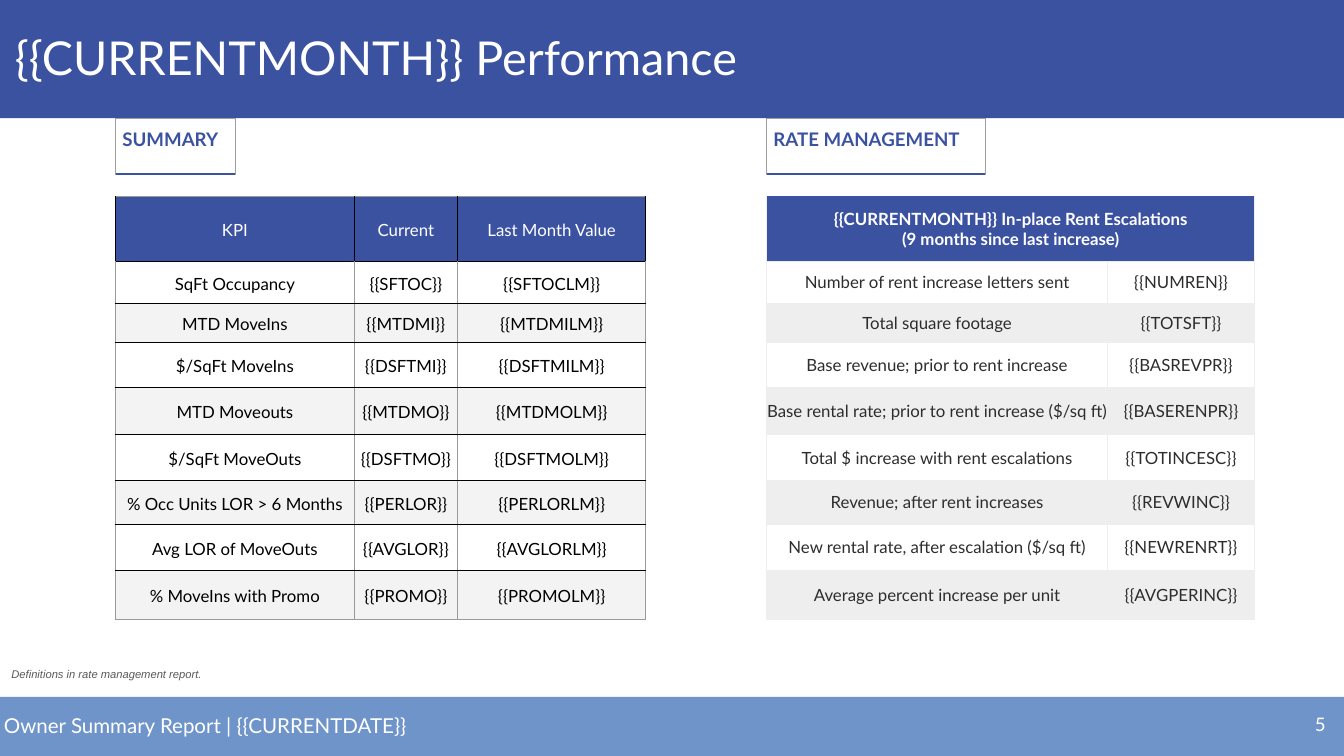
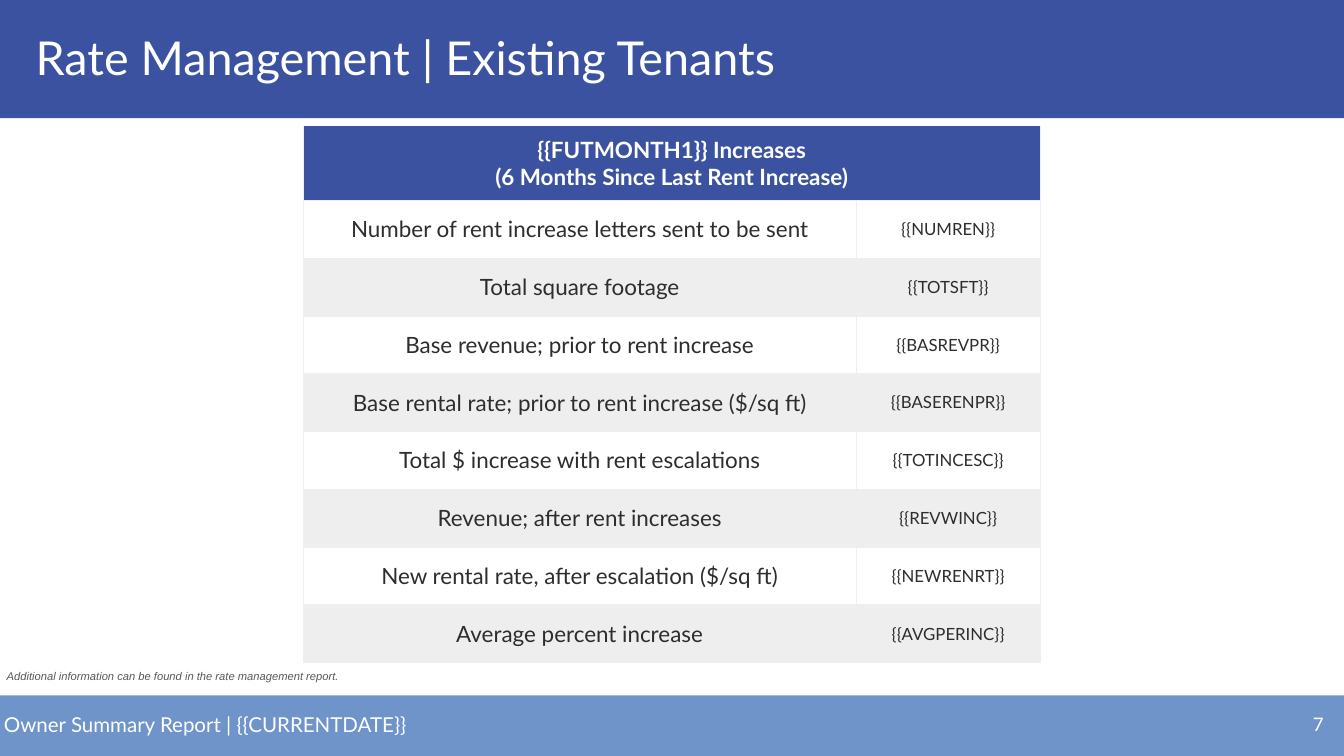
"""Build the monthly performance and rate management slides of the owner report."""
from dataclasses import dataclass, replace

from lxml import etree
from pptx import Presentation
from pptx.dml.color import RGBColor
from pptx.enum.shapes import MSO_SHAPE
from pptx.enum.text import MSO_ANCHOR, MSO_AUTO_SIZE, PP_ALIGN
from pptx.oxml.ns import qn
from pptx.slide import Slide
from pptx.text.text import TextFrame
from pptx.util import Emu, Pt

LEFT, CENTER, RIGHT = PP_ALIGN.LEFT, PP_ALIGN.CENTER, PP_ALIGN.RIGHT
TOP, MIDDLE = MSO_ANCHOR.TOP, MSO_ANCHOR.MIDDLE
RECT, FIXED = MSO_SHAPE.RECTANGLE, MSO_AUTO_SIZE.NONE

NAVY = RGBColor(0x3B, 0x52, 0xA1)
SKY = RGBColor(0x6F, 0x94, 0xCA)
WHITE = RGBColor(0xFF, 0xFF, 0xFF)
BLACK = RGBColor(0x00, 0x00, 0x00)
COAL = RGBColor(0x2D, 0x2D, 0x2D)
SLATE = RGBColor(0x59, 0x59, 0x59)
STEEL = RGBColor(0x9A, 0x9A, 0x9A)
ASH = RGBColor(0x9E, 0x9E, 0x9E)
MIST = RGBColor(0xEE, 0xEE, 0xEE)
FOG = RGBColor(0xF3, 0xF3, 0xF3)

SCALE = 9144
WIDE, HIGH = 2000, 1125
BAND = 176
FOOT = 90


@dataclass(frozen=True)
class Type:
    size: int
    ink: RGBColor
    bold: bool = False
    slant: bool = False
    face: str = "Lato"
    align: PP_ALIGN = LEFT
    ratio: float = 1.2


@dataclass(frozen=True)
class Look:
    fill: RGBColor
    ink: RGBColor
    left: RGBColor
    right: RGBColor
    top: RGBColor
    base: RGBColor
    bold: bool = False
    heavy: float = 0.75


@dataclass(frozen=True)
class Grid:
    left: int
    top: int
    cols: list[int]
    rows: list[int]
    cells: list[list[str]]
    looks: list[Look]
    sizes: list[int]
    pad: int
    ratio: float = 1.2
    align: PP_ALIGN = CENTER
    anchor: MSO_ANCHOR = MIDDLE


@dataclass(frozen=True)
class Page:
    title: str
    indent: int
    number: str
    foot: int
    edge: int
    note: str
    spot: tuple[int, int, int]
    grids: list[Grid]


HEAD = Look(NAVY, WHITE, BLACK, BLACK, STEEL, BLACK)
ODD = Look(WHITE, BLACK, STEEL, STEEL, BLACK, BLACK)
EVEN = replace(ODD, fill=FOG)
LAST = replace(EVEN, base=STEEL)
PLAIN = Look(WHITE, COAL, MIST, MIST, MIST, MIST)
SHADE = replace(PLAIN, fill=MIST)
CROWN = replace(PLAIN, fill=NAVY, ink=WHITE, top=NAVY, bold=True)
TAG = Look(WHITE, NAVY, ASH, ASH, ASH, NAVY, True, 1.5)
KPI_LOOKS = [HEAD] + [ODD, EVEN] * 3 + [ODD, LAST]
RATE_LOOKS = [CROWN] + [PLAIN, SHADE] * 4

KPI_ROWS = [97, 62, 59, 66, 71, 68, 65, 69, 73]
KPIS = [
    ["KPI", "Current", "Last Month Value"],
    ["SqFt Occupancy", "{{SFTOC}}", "{{SFTOCLM}}"],
    ["MTD MoveIns", "{{MTDMI}}", "{{MTDMILM}}"],
    ["$/SqFt MoveIns", "{{DSFTMI}}", "{{DSFTMILM}}"],
    ["MTD Moveouts", "{{MTDMO}}", "{{MTDMOLM}}"],
    ["$/SqFt MoveOuts", "{{DSFTMO}}", "{{DSFTMOLM}}"],
    ["% Occ Units LOR > 6 Months", "{{PERLOR}}", "{{PERLORLM}}"],
    ["Avg LOR of MoveOuts", "{{AVGLOR}}", "{{AVGLORLM}}"],
    ["% MoveIns with Promo", "{{PROMO}}", "{{PROMOLM}}"],
]


def rates(head: str, first: str, last: str) -> list[list[str]]:
    return [
        [head],
        [first, "{{NUMREN}}"],
        ["Total square footage", "{{TOTSFT}}"],
        ["Base revenue; prior to rent increase", "{{BASREVPR}}"],
        ["Base rental rate; prior to rent increase ($/sq ft)", "{{BASERENPR}}"],
        ["Total $ increase with rent escalations", "{{TOTINCESC}}"],
        ["Revenue; after rent increases", "{{REVWINC}}"],
        ["New rental rate, after escalation ($/sq ft)", "{{NEWRENRT}}"],
        [last, "{{AVGPERINC}}"],
    ]


def tag(text: str, left: int, width: int) -> Grid:
    return Grid(left, BAND, [width], [83], [[text]], [TAG], [20], 10,
                1.38, LEFT, TOP)


PAGES = [
    Page(
        "{{CURRENTMONTH}} Performance", 22, "5", 1037, 1973,
        "Definitions in rate management report.", (17, 993, 636),
        [
            Grid(1141, 292, [507, 219], KPI_ROWS,
                 rates("{{CURRENTMONTH}} In-place Rent Escalations\n"
                       "(9 months since last increase)",
                       "Number of rent increase letters sent",
                       "Average percent increase per unit"),
                 RATE_LOOKS, [18, 18], 0),
            tag("SUMMARY", 172, 178),
            tag("RATE MANAGEMENT", 1141, 325),
            Grid(172, 292, [355, 154, 280], KPI_ROWS, KPIS,
                 KPI_LOOKS, [18, 18, 18], 3, 1.38),
        ],
    ),
    Page(
        "Rate Management | Existing Tenants", 53, "7", 1035, 1970,
        "Additional information can be found in the rate management report.",
        (10, 996, 1095),
        [
            Grid(451, 188, [823, 274], [110] + [86] * 8,
                 rates("{{FUTMONTH1}} Increases\n"
                       "(6 Months Since Last Rent Increase)",
                       "Number of rent increase letters sent to be sent",
                       "Average percent increase"),
                 RATE_LOOKS, [24, 18], 10),
        ],
    ),
]


def px(count: int) -> Emu:
    return Emu(count * SCALE)


def write(frame: TextFrame, text: str, style: Type) -> None:
    frame.text = text
    for para in frame.paragraphs:
        para.alignment = style.align
        para.line_spacing = Pt(round(style.size * style.ratio, 1))
        for run in para.runs:
            font = run.font
            font.name = style.face
            font.size = Pt(style.size)
            font.bold = style.bold
            font.italic = style.slant
            font.color.rgb = style.ink


def inset(frame: TextFrame, pad: int, anchor: MSO_ANCHOR) -> None:
    frame.word_wrap = True
    frame.auto_size = FIXED
    frame.vertical_anchor = anchor
    frame.margin_left = frame.margin_right = px(pad)
    frame.margin_top = frame.margin_bottom = px(pad)


def label(slide: Slide, text: str, box: tuple[int, int, int, int],
          style: Type, pad: int = 0, anchor: MSO_ANCHOR = MIDDLE) -> None:
    frame = slide.shapes.add_textbox(*map(px, box)).text_frame
    inset(frame, pad, anchor)
    write(frame, text, style)


def band(slide: Slide, top: int, height: int, fill: RGBColor) -> None:
    shape = slide.shapes.add_shape(RECT, 0, px(top), px(WIDE), px(height))
    shape.shadow.inherit = False
    shape.fill.solid()
    shape.fill.fore_color.rgb = fill
    shape.line.fill.background()
    slide.shapes._spTree.insert(2, shape._element)


def border(cell, look: Look) -> None:
    props = cell._tc.get_or_add_tcPr()
    sides = [("L", look.left, 0.75), ("R", look.right, 0.75),
             ("T", look.top, 0.75), ("B", look.base, look.heavy)]
    for side, ink, width in sides:
        line = etree.SubElement(props, qn(f"a:ln{side}"), w=str(Pt(width)))
        fill = etree.SubElement(line, qn("a:solidFill"))
        etree.SubElement(fill, qn("a:srgbClr"), val=str(ink))


def draw(slide: Slide, grid: Grid) -> None:
    table = slide.shapes.add_table(
        len(grid.rows), len(grid.cols), px(grid.left), px(grid.top),
        px(sum(grid.cols)), px(sum(grid.rows))).table
    table.first_row = table.horz_banding = False
    for col, width in zip(table.columns, grid.cols):
        col.width = px(width)
    for row, height, texts, look in zip(
            table.rows, grid.rows, grid.cells, grid.looks):
        row.height = px(height)
        cells = list(row.cells)
        for cell in cells:
            border(cell, look)
            cell.fill.solid()
            cell.fill.fore_color.rgb = look.fill
            cell.vertical_anchor = grid.anchor
            cell.margin_left = cell.margin_right = px(grid.pad)
            cell.margin_top = cell.margin_bottom = px(grid.pad)
        if len(texts) < len(cells):
            cells[0].merge(cells[-1])
        for cell, text, size in zip(cells, texts, grid.sizes):
            write(cell.text_frame, text,
                  Type(size, look.ink, look.bold, align=grid.align,
                       ratio=grid.ratio))


def build(slide: Slide, page: Page) -> None:
    band(slide, page.foot, FOOT, SKY)
    band(slide, 0, BAND, NAVY)
    title = slide.shapes.title
    title.left, title.top = px(0), px(-8)
    title.width, title.height = px(WIDE), px(BAND + 8)
    inset(title.text_frame, 6, MIDDLE)
    title.text_frame.margin_left = px(page.indent)
    write(title.text_frame, page.title, Type(50, WHITE))
    label(slide, "Owner Summary Report | {{CURRENTDATE}}",
          (0, page.foot - 4, WIDE, FOOT + 4), Type(22, WHITE), 6)
    label(slide, page.number, (page.edge - 120, 1033, 120, FOOT),
          Type(20, WHITE, align=RIGHT))
    label(slide, page.note, (*page.spot, 43),
          Type(12, SLATE, slant=True, face="Arial"), 0, TOP)
    for grid in page.grids:
        draw(slide, grid)


def main() -> None:
    deck = Presentation()
    deck.slide_width, deck.slide_height = px(WIDE), px(HIGH)
    for page in PAGES:
        build(deck.slides.add_slide(deck.slide_layouts[5]), page)
    deck.save("out.pptx")


if __name__ == "__main__":
    main()
